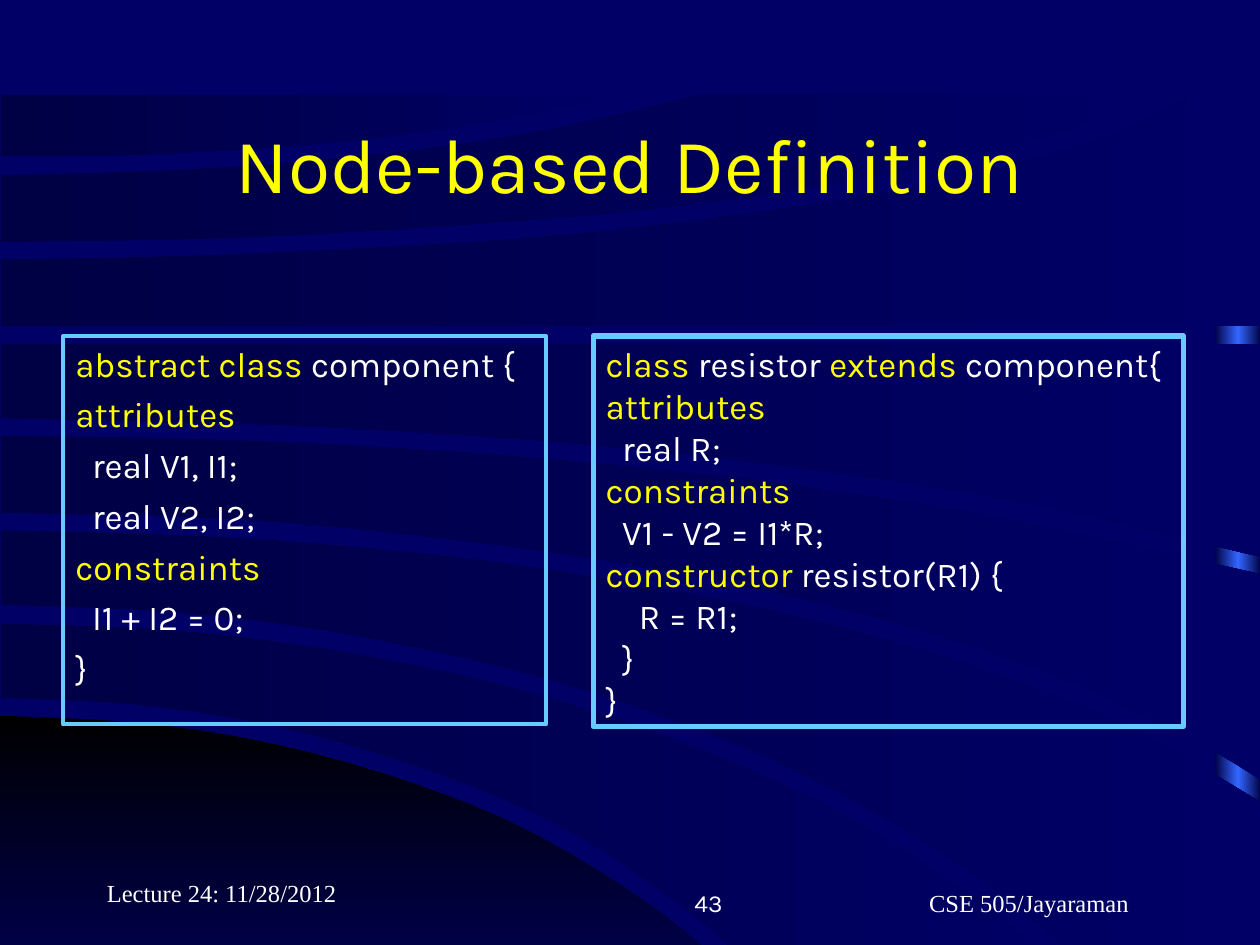
from copy import deepcopy
from dataclasses import dataclass
from typing import NamedTuple

from pptx import Presentation
from pptx.dml.color import RGBColor as Rgb
from pptx.enum.shapes import MSO_SHAPE as Preset
from pptx.enum.text import MSO_ANCHOR as Anchor, MSO_AUTO_SIZE as AutoSize, PP_ALIGN as Align
from pptx.util import Inches, Pt


@dataclass(frozen=True)
class Theme:
    navy: str = "000066"
    midnight: str = "000044"
    black: str = "000000"
    glow: str = "3366FF"
    frame: str = "66CCFF"
    keyword: str = "FFFF00"
    plain: str = "FFFFFF"
    sans: str = "Karla"
    serif: str = "Times New Roman"
    title_size: int = 44
    code_size: int = 20
    footer_size: int = 14


class Box(NamedTuple):
    left: int
    top: int
    width: int
    height: int


THEME = Theme()
COLUMNS, ROWS = 120, 90
SLIDE = Box(0, 0, Inches(10), Inches(7.5))
CURVE_STEPS = 4

# Each sweep: upper edge, corners on the right, lower edge.
# Knots run left to right, in tenths of the slide width.
HILL = (
    [(0, 5.68), (1.13, 5.74), (2.19, 5.91), (3.28, 6.22), (4.26, 6.63), (5.29, 7.28),
     (5.97, 7.9), (6.29, 8.27)],
    [], [(0, 8.27), (6.29, 8.27)])
BANDS = [
    ([(0.01, 4.95), (1.31, 5), (2.5, 5.14), (3.83, 5.4), (5.16, 5.8), (6.45, 6.34),
      (7.67, 7.07), (8.34, 7.62), (8.94, 8.25)],
     [],
     [(0.01, 5.54), (1.06, 5.59), (2.22, 5.77), (3.43, 6.12), (4.55, 6.61), (5.54, 7.29),
      (6.05, 7.78), (6.43, 8.25)]),
    ([(0.01, 4.21), (1.45, 4.25), (2.9, 4.35), (4.27, 4.51), (5.71, 4.76), (6.94, 5.05),
      (8.19, 5.45), (9.05, 5.81), (10.01, 6.37)],
     [(10.01, 8.25)],
     [(0.01, 4.8), (1.41, 4.86), (2.68, 5.02), (4.06, 5.31), (5.22, 5.67), (6.37, 6.14),
      (7.57, 6.83), (8.39, 7.47), (9.1, 8.25)]),
    ([(0.01, 3.46), (1.69, 3.49), (3.51, 3.58), (5.24, 3.73), (6.63, 3.9), (8.17, 4.15),
      (10.01, 4.56)],
     [],
     [(0.01, 4.07), (1.68, 4.11), (3.04, 4.22), (4.64, 4.42), (6.11, 4.69), (7.44, 5.04),
      (8.54, 5.43), (9.52, 5.9), (10.01, 6.19)]),
    ([(0.01, 2.73), (10.01, 2.73)],
     [],
     [(0.01, 3.32), (1.87, 3.36), (3.33, 3.43), (5.03, 3.56), (6.63, 3.75), (8.14, 3.99),
      (10.01, 4.42)]),
    ([(0.01, 2.06), (1.58, 2.03), (3.3, 1.95), (4.66, 1.85), (5.98, 1.69), (7.35, 1.47),
      (8.36, 1.21), (8.93, 1.03), (9.44, 0.75)],
     [(10.01, 0.75)],
     [(0.01, 2.59), (10.01, 2.59)]),
    ([(0.01, 1.39), (1.22, 1.36), (2.34, 1.29), (3.48, 1.17), (4.46, 1.01), (5.57, 0.75)],
     [],
     [(0.01, 1.92), (1.78, 1.89), (3.42, 1.8), (5.05, 1.67), (6.49, 1.48), (7.73, 1.23),
      (8.55, 1.01), (9.18, 0.75)]),
    ([(0.01, 0.75), (5.02, 0.75)],
     [],
     [(0.01, 1.24), (1.02, 1.23), (2.27, 1.16), (3.47, 1.03), (5.02, 0.75)]),
]

# Backticks enclose the highlighted keywords.
COMPONENT_CODE = """`abstract class` component {
`attributes`
  real V1, I1;
  real V2, I2;
`constraints`
  I1 + I2 = 0;
}"""
RESISTOR_CODE = """`class` resistor `extends` component{
`attributes`
  real R;
`constraints`
  V1 - V2 = I1*R;
`constructor` resistor(R1) {
    R = R1;
  }
}"""


def cell(box, column, row, columns, rows):
    """Return the part of a box that spans the given grid cells."""
    unit_x, unit_y = box.width / COLUMNS, box.height / ROWS
    return Box(round(box.left + column * unit_x), round(box.top + row * unit_y),
               round(columns * unit_x), round(rows * unit_y))


def smooth(knots):
    """Pass a Catmull-Rom curve through the knots."""
    padded = [knots[0], *knots, knots[-1]]
    curve = [knots[0]]
    for a, b, c, d in zip(padded, padded[1:], padded[2:], padded[3:]):
        for step in range(1, CURVE_STEPS + 1):
            t = step / CURVE_STEPS
            curve.append(tuple(
                q + t / 2 * (r - p + t * (2 * p - 5 * q + 4 * r - s + t * (3 * (q - r) + s - p)))
                for p, q, r, s in zip(a, b, c, d)))
    return curve


def paint_gradient(shape, colors, angle=0):
    shape.shadow.inherit = False
    shape.line.fill.background()
    shape.fill.gradient()
    shape.fill.gradient_angle = angle
    stop_list = shape.fill._fill._gradFill.gsLst
    for _ in colors[2:]:
        stop_list.append(deepcopy(stop_list[-1]))
    for index, (stop, color) in enumerate(zip(shape.fill.gradient_stops, colors)):
        stop.color.rgb = Rgb.from_string(color)
        stop.position = index / (len(colors) - 1)


def add_sweep(slide, box, sweep, colors, angle=0):
    upper, corners, lower = sweep
    unit = box.width / 10
    first, *rest = [(round(box.left + x * unit), round(box.top + y * unit))
                    for x, y in smooth(upper) + corners + smooth(lower)[::-1]]
    outline = slide.shapes.build_freeform(*first)
    outline.add_line_segments(rest, close=True)
    paint_gradient(outline.convert_to_shape(), colors, angle)


def add_backdrop(slide, box):
    slide.background.fill.solid()
    slide.background.fill.fore_color.rgb = Rgb.from_string(THEME.navy)
    # Glowing strip that shows between the bands
    strip = slide.shapes.add_shape(Preset.RECTANGLE, *cell(box, 115.7, 9.2, 4.4, 90))
    paint_gradient(strip, [THEME.midnight, THEME.glow, THEME.midnight])
    # Dark hill, then the bands above it
    add_sweep(slide, box, HILL, [THEME.black, THEME.navy], angle=270)
    for band in BANDS:
        add_sweep(slide, box, band, [THEME.midnight, THEME.navy])


def style(font, face, size, color=None):
    font.name, font.size = face, Pt(size)
    if color:
        font.color.rgb = Rgb.from_string(color)


def add_label(slide, box, words, face, size, color, align, anchor=Anchor.BOTTOM):
    frame = slide.shapes.add_textbox(*box).text_frame
    frame.word_wrap = True
    frame.vertical_anchor = anchor
    line = frame.paragraphs[0]
    line.text, line.alignment = words, align
    style(line.font, face, size, color)


def add_code_panel(slide, box, code, border, gap=0, fitted=False):
    panel = slide.shapes.add_shape(Preset.RECTANGLE, *box)
    panel.shadow.inherit = False
    panel.fill.background()
    panel.line.color.rgb = Rgb.from_string(THEME.frame)
    panel.line.width = Pt(border)
    frame = panel.text_frame
    frame.vertical_anchor = Anchor.TOP
    frame.word_wrap = not fitted
    frame.auto_size = AutoSize.SHAPE_TO_FIT_TEXT if fitted else AutoSize.NONE
    for number, code_line in enumerate(code.splitlines()):
        line = frame.add_paragraph() if number else frame.paragraphs[0]
        line.alignment = Align.LEFT
        line.space_before = Pt(gap if number else 0)
        style(line.font, THEME.sans, THEME.code_size)
        for part, words in enumerate(code_line.split("`")):
            if words:
                run = line.add_run()
                run.text = words
                run.font.color.rgb = Rgb.from_string(THEME.keyword if part % 2 else THEME.plain)


def add_footer(slide, box):
    for place, words, face, align in [
        ((9, 81, 25, 6), "Lecture 24: 11/28/2012", THEME.serif, Align.LEFT),
        ((45, 82, 25, 6), "43", THEME.sans, Align.RIGHT),
        ((79, 82, 38, 6), "CSE 505/Jayaraman", THEME.serif, Align.CENTER),
    ]:
        add_label(slide, cell(box, *place), words, face, THEME.footer_size, THEME.plain, align)


def main():
    deck = Presentation()
    deck.slide_width, deck.slide_height = SLIDE.width, SLIDE.height
    slide = deck.slides.add_slide(deck.slide_layouts[6])
    add_backdrop(slide, SLIDE)
    add_label(slide, cell(SLIDE, 9, 8, 102, 15), "Node-based Definition", THEME.sans,
              THEME.title_size, THEME.keyword, Align.CENTER, Anchor.MIDDLE)
    add_code_panel(slide, cell(SLIDE, 6, 32, 46, 37), COMPONENT_CODE, border=2.25, gap=5)
    add_code_panel(slide, cell(SLIDE, 56.5, 32, 56.2, 37.2), RESISTOR_CODE, border=3, fitted=True)
    add_footer(slide, SLIDE)
    deck.save("out.pptx")


if __name__ == "__main__":
    main()
